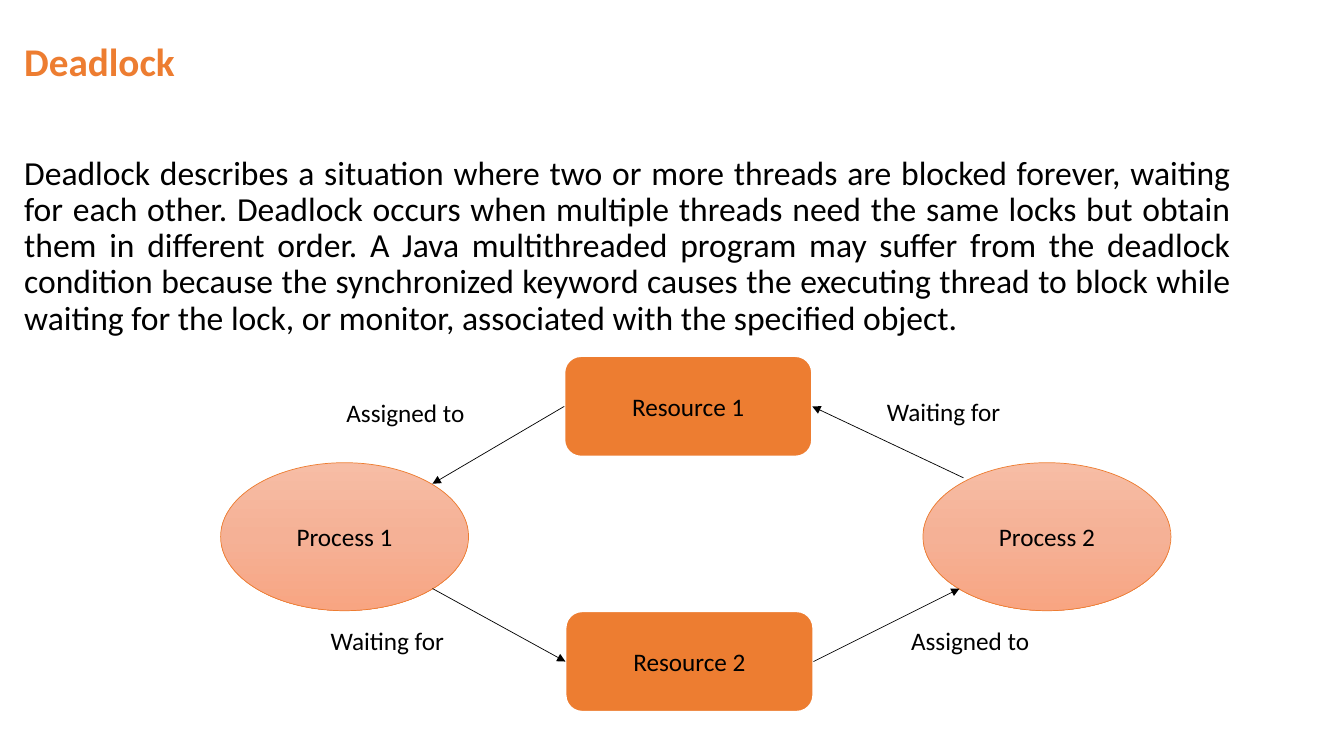
from copy import deepcopy

from lxml import etree
from pptx import Presentation
from pptx.dml.color import RGBColor
from pptx.enum.shapes import MSO_CONNECTOR, MSO_SHAPE
from pptx.enum.text import MSO_ANCHOR, PP_ALIGN
from pptx.oxml.ns import qn
from pptx.util import Cm, Pt

STRAIGHT = MSO_CONNECTOR.STRAIGHT
ELLIPSE = MSO_SHAPE.OVAL
ROUNDED = MSO_SHAPE.ROUNDED_RECTANGLE
MIDDLE = MSO_ANCHOR.MIDDLE
LEFT, CENTER, JUSTIFY = PP_ALIGN.LEFT, PP_ALIGN.CENTER, PP_ALIGN.JUSTIFY
LEFT_SIDE, RIGHT_SIDE = 1, 3

FONT = "Calibri"
ORANGE = "ED7D31"
BLACK = "000000"
WHITE = "FFFFFF"
PROCESS_STOPS = [(0, "F7BDA5"), (0.5, "F5B196"), (1, "F8A582")]

DEFINITION = (
    "Deadlock describes a situation where two or more threads are blocked forever, "
    "waiting for each other. Deadlock occurs when multiple threads need the same locks "
    "but obtain them in different order. A Java multithreaded program may suffer from "
    "the deadlock condition because the synchronized keyword causes the executing thread "
    "to block while waiting for the lock, or monitor, associated with the specified object."
)


def color(value):
    return RGBColor.from_string(value)


def write(paragraph, text, size, font_color=BLACK, alignment=LEFT, bold=False):
    paragraph.text = text
    paragraph.alignment = alignment
    paragraph.font.name = FONT
    paragraph.font.size = Pt(size)
    paragraph.font.bold = bold
    paragraph.font.color.rgb = color(font_color)


def add_text_frame(slide, left, top, width, height):
    frame = slide.shapes.add_textbox(Cm(left), Cm(top), Cm(width), Cm(height)).text_frame
    frame.word_wrap = True
    return frame


def add_node(slide, kind, text, left, top, width, height, line_color, line_width):
    shape = slide.shapes.add_shape(kind, Cm(left), Cm(top), Cm(width), Cm(height))
    shape.shadow.inherit = False
    shape.line.color.rgb = color(line_color)
    shape.line.width = Pt(line_width)
    shape.text_frame.vertical_anchor = MIDDLE
    write(shape.text_frame.paragraphs[0], text, 18, alignment=CENTER)
    return shape


def add_process(slide, text, left, top):
    shape = add_node(slide, ELLIPSE, text, left, top, 6.25, 3.73, ORANGE, 0.5)
    shape.fill.gradient()
    shape.fill.gradient_angle = 270
    stop_list = shape._element.spPr.find(qn("a:gradFill")).find(qn("a:gsLst"))
    stop_list.insert(1, deepcopy(stop_list[0]))
    for stop, (position, value) in zip(shape.fill.gradient_stops, PROCESS_STOPS):
        stop.position = position
        stop.color.rgb = color(value)


def add_resource(slide, text, left, top):
    shape = add_node(slide, ROUNDED, text, left, top, 6.25, 2.54, WHITE, 1.5)
    shape.fill.solid()
    shape.fill.fore_color.rgb = color(ORANGE)
    return shape


def add_arrow(slide, resource, side, left, top, to_resource):
    point = Cm(left), Cm(top)
    connector = slide.shapes.add_connector(STRAIGHT, *point, *point)
    if to_resource:
        connector.end_connect(resource, side)
    else:
        connector.begin_connect(resource, side)
    connector.line.color.rgb = color(BLACK)
    connector.line.width = Pt(0.5)
    etree.SubElement(connector.line._get_or_add_ln(), qn("a:tailEnd"), type="triangle")
    etree.SubElement(connector._element.spPr, qn("a:effectLst"))


def add_definition(slide, left, top, width, height):
    frame = add_text_frame(slide, left, top, width, height)
    title, body = frame.paragraphs[0], frame.add_paragraph()
    write(title, "Deadlock", 28, ORANGE, bold=True)
    write(body, DEFINITION, 24, alignment=JUSTIFY)
    title.space_before = Pt(10)
    body.space_before = Pt(51)
    for paragraph in (title, body):
        paragraph.line_spacing = 0.9


def add_cycle(slide, left, top, width, height):
    add_process(slide, "Process 1", left, top + 2.69)
    add_process(slide, "Process 2", left + width - 6.25, top + 2.69)
    upper = add_resource(slide, "Resource 1", left + 8.66, top)
    lower = add_resource(slide, "Resource 2", left + 8.69, top + height - 2.54)

    for resource, side, x, y, to_resource in (
        (upper, LEFT_SIDE, 5.34, 3.22, False),
        (lower, RIGHT_SIDE, 18.62, 5.86, False),
        (lower, LEFT_SIDE, 5.34, 5.86, True),
        (upper, RIGHT_SIDE, 18.72, 3.07, True),
    ):
        add_arrow(slide, resource, side, left + x, top + y, to_resource)

    for text, x, y in (
        ("Assigned to", 2.92, 0.91),
        ("Waiting for", 2.52, 6.65),
        ("Assigned to", 17.15, 6.65),
        ("Waiting for", 16.54, 0.89),
    ):
        frame = add_text_frame(slide, left + x, top + y, 5.89, 1.02)
        write(frame.paragraphs[0], text, 18)


def main():
    presentation = Presentation()
    presentation.slide_width = Cm(33.87)
    presentation.slide_height = Cm(19.05)
    slide = presentation.slides.add_slide(presentation.slide_layouts[6])
    add_definition(slide, 0.36, 0.94, 30.91, 18.11)
    add_cycle(slide, 5.56, 8.97, 23.95, 8.97)
    presentation.save("out.pptx")


if __name__ == "__main__":
    main()
